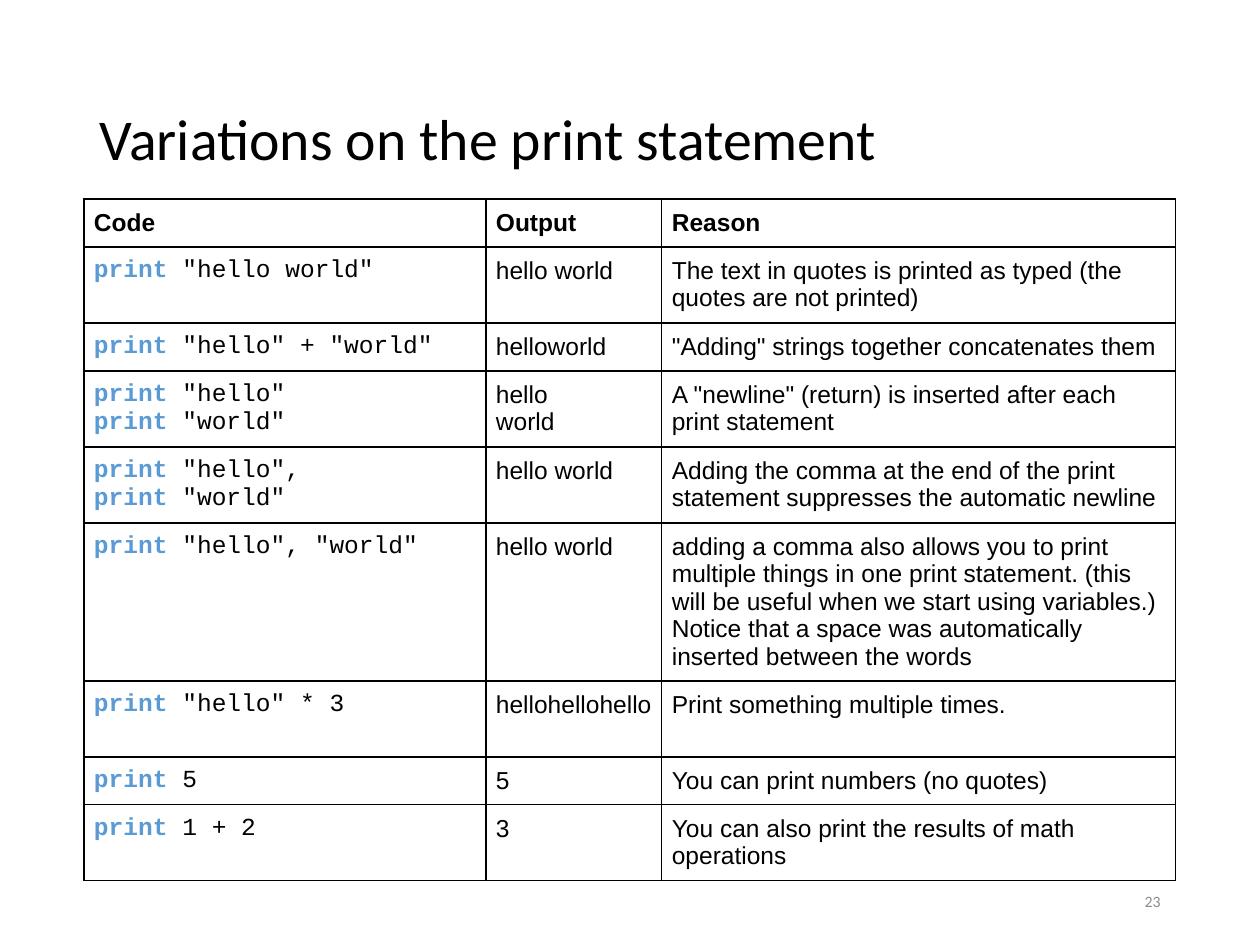
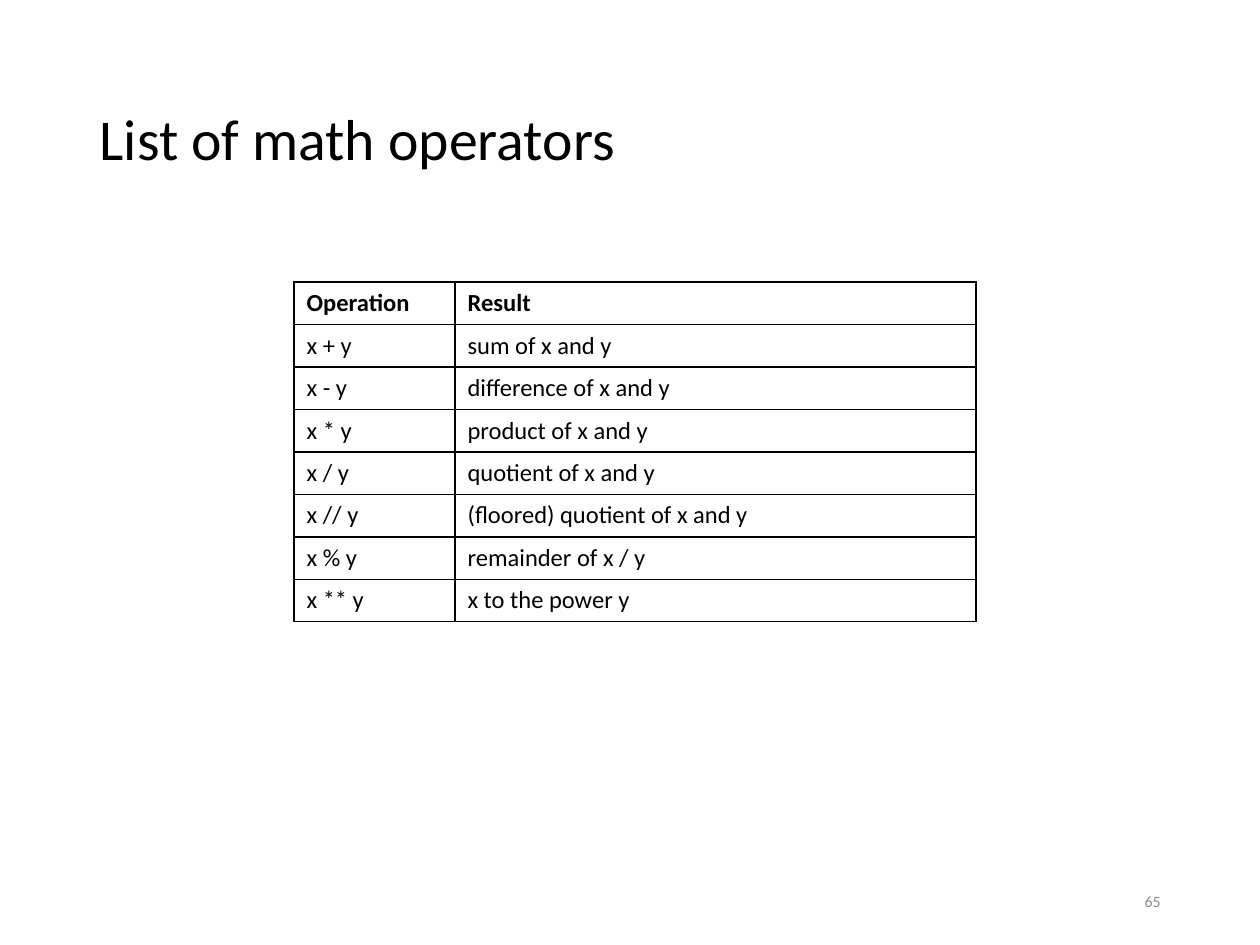
from lxml.etree import SubElement
from pptx import Presentation
from pptx.dml.color import RGBColor
from pptx.enum.text import MSO_ANCHOR as Anchor, MSO_AUTO_SIZE as AutoSize, PP_ALIGN as Align
from pptx.oxml.ns import qn
from pptx.util import Pt

SCALE = 914400 / 126
COLOURS = {"ink": "000000", "keyword": "5B9BD5", "number": "8C8C8C"}
TITLE_BOX = (87, 50, 1086, 183)
NUMBER_BOX = (890, 876, 283, 50)
TITLE_FONT = {"name": "Calibri", "size": Pt(33), "bold": False}
NUMBER_FONT = {"name": "Calibri", "size": Pt(9)}
CODE_FONT = {"name": "Courier New", "size": Pt(14)}
PROSE_FONT = {"name": "Arial", "size": Pt(14)}
OPERATOR_FONT = {"name": "Calibri", "size": Pt(14)}
KEYWORD = "print"

PRINT_ROWS = [
    ("Code", "Output", "Reason"),
    ('print "hello world"', "hello world",
     "The text in quotes is printed as typed (the quotes are not printed)"),
    ('print "hello" + "world"', "helloworld",
     '"Adding" strings together concatenates them'),
    ('print "hello"\nprint "world"', "hello\nworld",
     'A "newline" (return) is inserted after each print statement'),
    ('print "hello",\nprint "world"', "hello world",
     "Adding the comma at the end of the print statement suppresses the automatic newline"),
    ('print "hello", "world"', "hello world",
     "adding a comma also allows you to print multiple things in one print statement. "
     "(this will be useful when we start using variables.) "
     "Notice that a space was automatically inserted between the words"),
    ('print "hello" * 3', "hellohellohello", "Print something multiple times."),
    ("print 5", "5", "You can print numbers (no quotes)"),
    ("print 1 + 2", "3", "You can also print the results of math operations"),
]
PRINT_HEIGHTS = [48, 76, 48, 76, 76, 158, 76, 48, 76]

OPERATOR_ROWS = [
    ("Operation", "Result"),
    ("x + y", "sum of x and y"),
    ("x - y", "difference of x and y"),
    ("x * y", "product of x and y"),
    ("x / y", "quotient of x and y"),
    ("x // y", "(floored) quotient of x and y"),
    ("x % y", "remainder of x / y"),
    ("x ** y", "x to the power y"),
]


def emu(pixels):
    """Turn pixels into EMU."""
    return round(pixels * SCALE)


def set_all(target, values):
    """Set each attribute named in a dict of format values."""
    for name, value in values.items():
        setattr(target, name, value)


def add_span(para, text, font, colour="ink", bold=False):
    """Append one formatted run to a paragraph."""
    span = para.add_run()
    span.text = text
    set_all(span.font, {"bold": bold, **font})
    span.font.color.rgb = RGBColor.from_string(COLOURS[colour])


def add_page(deck, title, number):
    """Add a title-only slide with its heading and slide number."""
    page = deck.slides.add_slide(deck.slide_layouts[5])
    heading = page.shapes.title
    set_all(heading, dict(zip(("left", "top", "width", "height"), map(emu, TITLE_BOX))))
    number_box = page.shapes.add_textbox(*map(emu, NUMBER_BOX))
    for box, text, font, colour, layout in (
        (heading, title, TITLE_FONT, "ink", {"alignment": Align.LEFT, "line_spacing": 0.9}),
        (number_box, number, NUMBER_FONT, "number", {"alignment": Align.RIGHT}),
    ):
        frame = box.text_frame
        set_all(frame, {"word_wrap": True, "auto_size": AutoSize.NONE,
                        "vertical_anchor": Anchor.MIDDLE})
        set_all(frame.paragraphs[0], layout)
        add_span(frame.paragraphs[0], text, font, colour)
    return page


def add_borders(cell, points):
    """Draw a solid line on all four sides of a cell."""
    properties = cell._tc.get_or_add_tcPr()
    for place, side in enumerate(("lnL", "lnR", "lnT", "lnB")):
        line = SubElement(properties, qn("a:" + side), w=str(Pt(points)))
        fill = SubElement(line, qn("a:solidFill"))
        SubElement(fill, qn("a:srgbClr"), val=COLOURS["ink"])
        properties.insert(place, line)


def fill_cell(cell, text, font, bold):
    """Write the lines of a cell, with the keyword of code lines picked out."""
    frame = cell.text_frame
    for index, line in enumerate(text.split("\n")):
        para = frame.add_paragraph() if index else frame.paragraphs[0]
        if font is CODE_FONT:
            add_span(para, KEYWORD, font, "keyword", True)
            line = line.removeprefix(KEYWORD)
        add_span(para, line, font, bold=bold)


def add_grid(page, left, top, widths, heights, rows, fonts, header_font, border, margins):
    """Place a ruled table with a bold header row."""
    frame = page.shapes.add_table(len(rows), len(widths), emu(left), emu(top),
                                  emu(sum(widths)), emu(sum(heights)))
    table = frame.table
    set_all(table, {"first_row": False, "horz_banding": False})
    for column, width in zip(table.columns, widths):
        column.width = emu(width)
    for index, (row, height, texts) in enumerate(zip(table.rows, heights, rows)):
        row.height = emu(height)
        for cell, text, font in zip(row.cells, texts, fonts):
            set_all(cell, margins)
            cell.fill.background()
            add_borders(cell, border)
            fill_cell(cell, text, font if index else header_font, index == 0)


def build_print_page(deck):
    """Build the slide on variations of the print statement."""
    page = add_page(deck, "Variations on the print statement", "23")
    margins = {"margin_" + side: emu(10) for side in ("left", "right", "top", "bottom")}
    add_grid(page, 84, 199, (402, 176, 514), PRINT_HEIGHTS, PRINT_ROWS,
             (CODE_FONT, PROSE_FONT, PROSE_FONT), PROSE_FONT, 0.75, margins)


def build_operator_page(deck):
    """Build the slide that lists the math operators."""
    page = add_page(deck, "List of math operators", "65")
    add_grid(page, 294, 282, (161, 521), [42] * len(OPERATOR_ROWS), OPERATOR_ROWS,
             (OPERATOR_FONT, OPERATOR_FONT), OPERATOR_FONT, 1, {})


def main():
    """Build the deck and save it."""
    deck = Presentation()
    set_all(deck, {"slide_width": emu(1260), "slide_height": emu(945)})
    build_print_page(deck)
    build_operator_page(deck)
    deck.save("out.pptx")


main()
